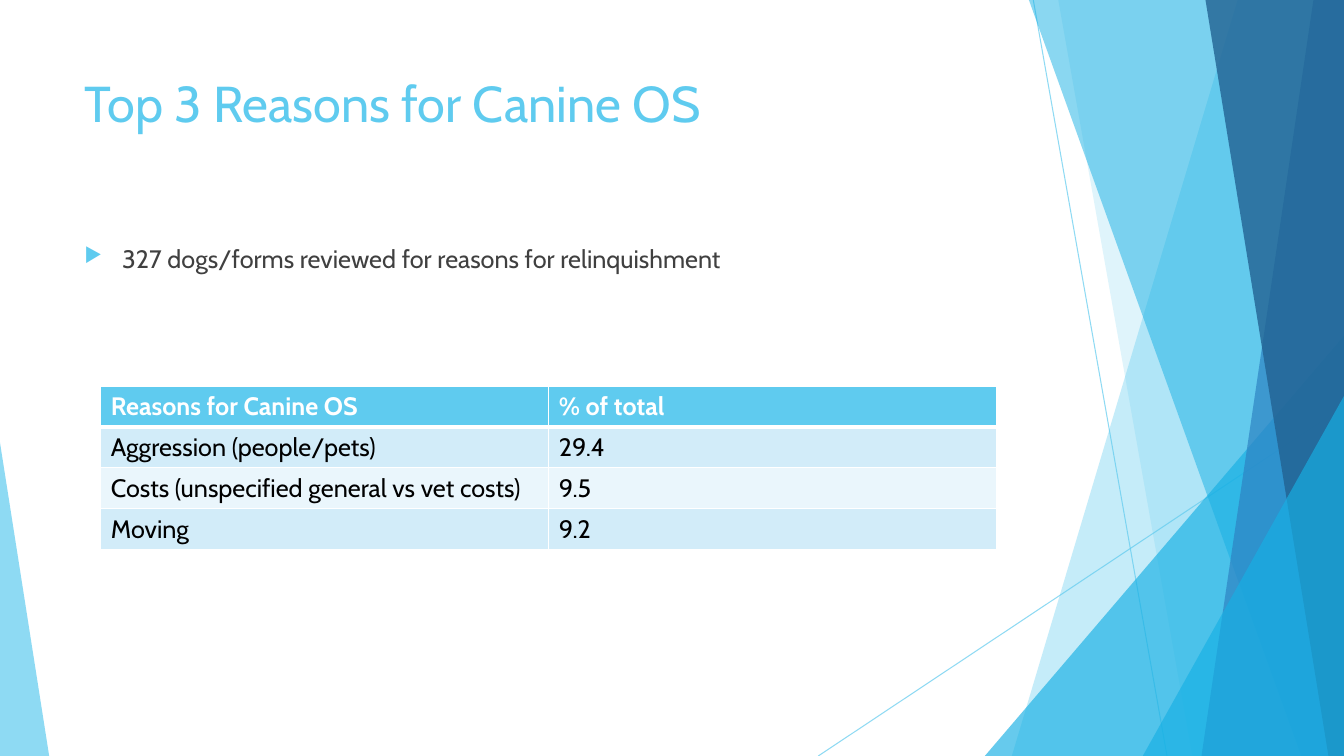
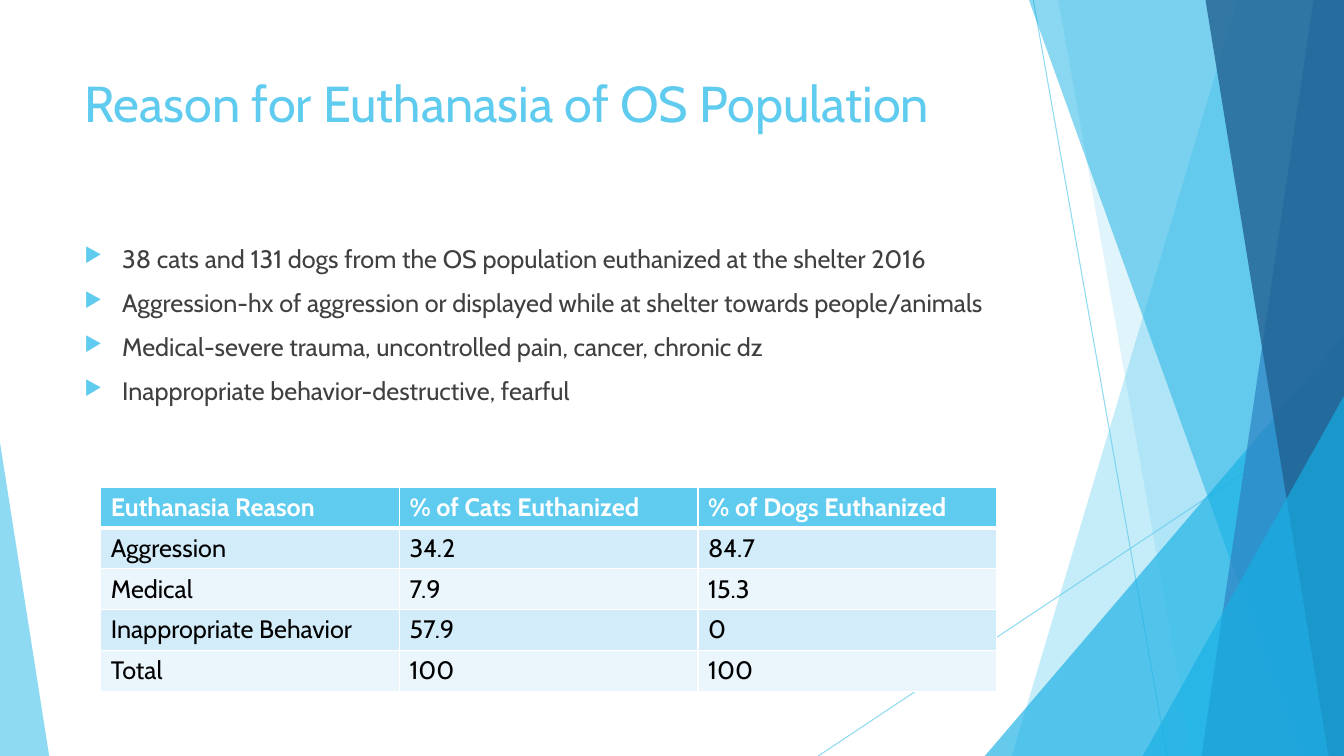
from lxml import etree
from pptx import Presentation
from pptx.dml.color import RGBColor
from pptx.enum import shapes, text
from pptx.oxml import ns
from pptx.util import Cm, Pt

COLOURS = {
    "sky": "5FCBEF", "cyan": "17B0E4", "blue": "2E83C3", "navy": "226292",
    "white": "FFFFFF", "body": "404040", "black": "000000",
    "row_dark": "D2ECF9", "row_light": "EAF6FC",
}
FONT = "Cabin"
WIDTH, HEIGHT = 33.87, 19.05
TEXT_LEFT, TEXT_WIDTH = 1.88, 23.88
TABLE_LEFT, TABLE_WIDTH, ROW_HEIGHT = 2.54, 22.58, 1.03

# Lines as start x, start y, end x, end y
THIN_LINES = [(26.04, 0, 29.41, HEIGHT), (WIDTH, 10.24, 20.62, HEIGHT)]

SLIDES = [
    {
        "title": "Top 3 Reasons for Canine OS",
        "bullets": ["327 dogs/forms reviewed for reasons for relinquishment"],
        "table_top": 9.73,
        "rows": [
            ("Reasons for Canine OS", "% of total"),
            ("Aggression (people/pets)", "29.4"),
            ("Costs (unspecified general vs vet costs)", "9.5"),
            ("Moving", "9.2"),
        ],
    },
    {
        "title": "Reason for Euthanasia of OS Population",
        "bullets": [
            "38 cats and 131 dogs from the OS population euthanized at the shelter 2016",
            "Aggression-hx of aggression or displayed while at shelter towards people/animals",
            "Medical-severe trauma, uncontrolled pain, cancer, chronic dz",
            "Inappropriate behavior-destructive, fearful",
        ],
        "table_top": 12.27,
        "rows": [
            ("Euthanasia Reason", "% of Cats Euthanized", "% of Dogs Euthanized"),
            ("Aggression", "34.2", "84.7"),
            ("Medical", "7.9", "15.3"),
            ("Inappropriate Behavior", "57.9", "0"),
            ("Total", "100", "100"),
        ],
    },
]


def rgb(colour):
    return RGBColor.from_string(COLOURS[colour])


def add_element(parent, tag, **attributes):
    element = etree.SubElement(parent, ns.qn(tag))
    for name, value in attributes.items():
        element.set(name, str(value))
    return element


def paint(fill, colour, element=None, opacity=100):
    """Fill solidly; opacity is a percentage set on the colour inside element."""
    fill.solid()
    fill.fore_color.rgb = rgb(colour)
    if opacity < 100:
        colour_element = next(element.iter(ns.qn("a:srgbClr")))
        add_element(colour_element, "a:alpha", val=opacity * 1000)


def finish_facet(shape, colour, opacity):
    shape.shadow.inherit = False
    paint(shape.fill, colour, shape.element.spPr, opacity)
    shape.line.fill.background()


def add_thin_line(slide, *ends):
    line = slide.shapes.add_connector(
        shapes.MSO_CONNECTOR.STRAIGHT, *(Cm(value) for value in ends))
    line.line.width = Pt(0.75)
    properties = line.element.spPr
    paint(line.line.fill, "sky", properties, 70)
    add_element(properties, "a:effectLst")


def add_band(slide, top_x, bottom_x, colour, opacity):
    """Full-height band from a slanted left edge to the right slide edge."""
    builder = slide.shapes.build_freeform(Cm(top_x), 0, scale=1.0)
    corners = [(WIDTH, 0), (WIDTH, HEIGHT), (bottom_x, HEIGHT)]
    builder.add_line_segments([(Cm(x), Cm(y)) for x, y in corners], close=True)
    finish_facet(builder.convert_to_shape(), colour, opacity)


def add_corner(slide, left, top, width, apex, colour, opacity):
    """Triangle standing on the bottom slide edge."""
    shape = slide.shapes.add_shape(
        shapes.MSO_SHAPE.ISOSCELES_TRIANGLE,
        Cm(left), Cm(top), Cm(width), Cm(HEIGHT - top))
    shape.adjustments[0] = apex
    finish_facet(shape, colour, opacity)


def add_backdrop(slide):
    for ends in THIN_LINES:
        add_thin_line(slide, *ends)
    add_band(slide, 31.19, 25.5, "sky", 36)
    add_band(slide, 26.67, 30.05, "sky", 20)
    add_corner(slide, 24.82, 8.46, WIDTH - 24.82, 1, "cyan", 66)
    add_band(slide, 25.93, 32.79, "cyan", 50)
    add_band(slide, 33.1, 30.28, "blue", 70)
    add_band(slide, 30.38, 33.48, "navy", 80)
    add_corner(slide, 28.8, 9.98, WIDTH - 28.8, 1, "cyan", 66)
    add_corner(slide, 0, 11.15, 1.24, 0, "sky", 70)


def format_runs(paragraph, size, colour, bold=False):
    for run in paragraph.runs:
        run.font.name = FONT
        run.font.size = Pt(size)
        run.font.bold = bold
        run.font.color.rgb = rgb(colour)


def add_text_frame(slide, top, height):
    box = slide.shapes.add_textbox(
        Cm(TEXT_LEFT), Cm(top), Cm(TEXT_WIDTH), Cm(height))
    box.text_frame.word_wrap = True
    box.text_frame.vertical_anchor = text.MSO_ANCHOR.TOP
    return box.text_frame


def add_title(slide, title):
    frame = add_text_frame(slide, 1.7, 3.66)
    frame.text = title
    format_runs(frame.paragraphs[0], 36, "sky")


def add_bullet_mark(paragraph):
    properties = paragraph._p.get_or_add_pPr()
    properties.set("marL", str(Cm(0.95)))
    properties.set("indent", str(-Cm(0.95)))
    mark_colour = add_element(properties, "a:buClr")
    add_element(mark_colour, "a:srgbClr", val=COLOURS["sky"])
    add_element(properties, "a:buSzPct", val=80000)
    add_element(properties, "a:buChar", char="▶")


def add_bullets(slide, bullets):
    frame = add_text_frame(slide, 6, 10.77)
    frame.text = "\n".join(bullets)
    for index, paragraph in enumerate(frame.paragraphs):
        add_bullet_mark(paragraph)
        if index:
            paragraph.space_before = Pt(10)
        format_runs(paragraph, 18, "body")


def add_borders(cell, top, bottom):
    """White cell borders; top and bottom widths are in points."""
    properties = cell._tc.get_or_add_tcPr()
    for side, width in (("L", 1), ("R", 1), ("T", top), ("B", bottom)):
        border = add_element(properties, f"a:ln{side}", w=Pt(width))
        fill = add_element(border, "a:solidFill")
        add_element(fill, "a:srgbClr", val=COLOURS["white"])


def format_cell(cell, row):
    header = row == 0
    add_borders(cell, top=3 if row == 1 else 1, bottom=3 if header else 1)
    stripe = "row_dark" if row % 2 else "row_light"
    paint(cell.fill, "sky" if header else stripe)
    format_runs(cell.text_frame.paragraphs[0], 18,
                "white" if header else "black", bold=header)


def add_data_table(slide, top, rows):
    column_count = len(rows[0])
    table = slide.shapes.add_table(
        len(rows), column_count, Cm(TABLE_LEFT), Cm(top),
        Cm(TABLE_WIDTH), Cm(ROW_HEIGHT * len(rows))).table
    for column in table.columns:
        column.width = Cm(TABLE_WIDTH / column_count)
    for row, values in enumerate(rows):
        table.rows[row].height = Cm(ROW_HEIGHT)
        for column, value in enumerate(values):
            cell = table.cell(row, column)
            cell.text_frame.text = value
            format_cell(cell, row)


def main():
    presentation = Presentation()
    presentation.slide_width = Cm(WIDTH)
    presentation.slide_height = Cm(HEIGHT)
    for content in SLIDES:
        slide = presentation.slides.add_slide(presentation.slide_layouts[6])
        add_backdrop(slide)
        add_title(slide, content["title"])
        add_bullets(slide, content["bullets"])
        add_data_table(slide, content["table_top"], content["rows"])
    presentation.save("out.pptx")


if __name__ == "__main__":
    main()
